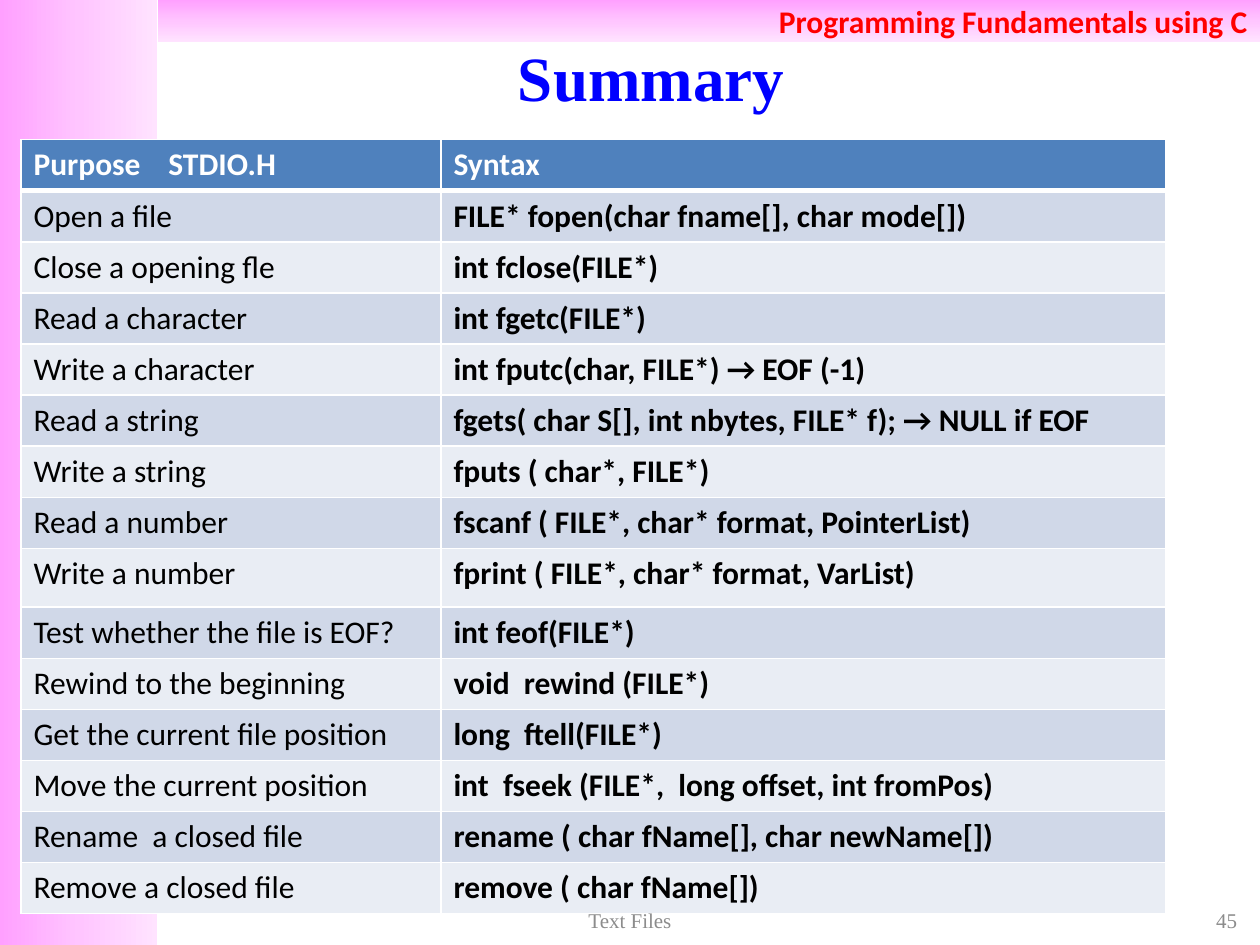
from copy import deepcopy

from lxml import etree
from pptx import Presentation, util as u
from pptx.dml.color import RGBColor
from pptx.enum import shapes, text
from pptx.oxml.ns import qn

WHITE = RGBColor(0xFF, 0xFF, 0xFF)
BLACK = RGBColor(0, 0, 0)
RED = RGBColor(0xFF, 0, 0)
BLUE = RGBColor(0, 0, 0xFF)
GREY = RGBColor(0x8C, 0x8C, 0x8C)
HEAD = RGBColor(0x4F, 0x81, 0xBD)
BANDS = RGBColor(0xD0, 0xD8, 0xE8), RGBColor(0xE9, 0xED, 0xF4)
PINKS = (RGBColor(0xFF, 0xA0, 0xFF), RGBColor(0xFF, 0xC5, 0xFF),
         RGBColor(0xFF, 0xE3, 0xFF))
SANS, SERIF = "Calibri", "Times New Roman"
LEFT, MID, RIGHT = text.PP_ALIGN.LEFT, text.PP_ALIGN.CENTER, text.PP_ALIGN.RIGHT

# The grid: 12 columns by 90 rows
COL, ROW = u.Inches(10) / 12, u.Inches(7.5) / 90

CALLS = [
    ("Purpose\tSTDIO.H", "Syntax"),
    ("Open a file", "FILE* fopen(char fname[], char mode[])"),
    ("Close a opening fle", "int fclose(FILE*)"),
    ("Read a character", "int fgetc(FILE*)"),
    ("Write a character", "int fputc(char, FILE*) → EOF (-1)"),
    ("Read a string", "fgets( char S[], int nbytes, FILE* f); → NULL if EOF"),
    ("Write a string", "fputs ( char*, FILE*)"),
    ("Read a number", "fscanf ( FILE*, char* format, PointerList)"),
    ("Write a number", "fprint ( FILE*, char* format, VarList)"),
    ("Test whether the file is EOF?", "int feof(FILE*)"),
    ("Rewind to the beginning", "void  rewind (FILE*)"),
    ("Get the current file position", "long  ftell(FILE*)"),
    ("Move the current position", "int  fseek (FILE*,  long offset, int fromPos)"),
    ("Rename  a closed file", "rename ( char fName[], char newName[])"),
    ("Remove a closed file", "remove ( char fName[])"),
]
TALL = 8  # the "Write a number" row


def write(frame, words, size=18, font=SANS, color=BLACK, bold=False, align=LEFT):
    para = frame.paragraphs[0]
    para.alignment = align
    run = para.add_run()
    run.text = words
    run.font.size, run.font.name = u.Pt(size), font
    run.font.color.rgb, run.font.bold = color, bold
    return para


def place(left, top, width, height):
    """Turn columns and rows into slide lengths."""
    return [round(n) for n in (left * COL, top * ROW, width * COL, height * ROW)]


def edge(cell, base):
    """Draw white cell borders, with the bottom one of the given width."""
    props = cell._tc.get_or_add_tcPr()
    for spot, (side, width) in enumerate(zip("LRTB", (1, 1, 1, base))):
        line = etree.Element(qn(f"a:ln{side}"), w=str(u.Pt(width)))
        fill = etree.SubElement(line, qn("a:solidFill"))
        etree.SubElement(fill, qn("a:srgbClr"), val=str(WHITE))
        props.insert(spot, line)


class Deck:
    def __init__(self):
        self.file = Presentation()
        self.file.slide_width, self.file.slide_height = u.Inches(10), u.Inches(7.5)
        self.slide = self.file.slides.add_slide(self.file.slide_layouts[5])

    def band(self, *spot, angle):
        """Add a pink gradient bar and return its text frame."""
        bar = self.slide.shapes.add_shape(shapes.MSO_SHAPE.RECTANGLE, *place(*spot))
        bar.shadow.inherit = False
        bar.line.fill.background()
        bar.fill.gradient()
        bar.fill.gradient_angle = angle
        stops = bar._element.spPr.find(".//" + qn("a:gsLst"))
        stops.insert(1, deepcopy(stops[0]))
        for step, (stop, pink) in enumerate(zip(bar.fill.gradient_stops, PINKS)):
            stop.position, stop.color.rgb = step / 2, pink
        bar.text_frame.vertical_anchor = text.MSO_ANCHOR.MIDDLE
        return bar.text_frame

    def title(self, words, *spot):
        head = self.slide.shapes.title
        head.left, head.top, head.width, head.height = place(*spot)
        frame = head.text_frame
        frame.auto_size = text.MSO_AUTO_SIZE.NONE
        frame.vertical_anchor = text.MSO_ANCHOR.MIDDLE
        write(frame, words, size=36, font=SERIF, color=BLUE, bold=True, align=MID)

    def label(self, words, *spot, align):
        frame = self.slide.shapes.add_textbox(*place(*spot)).text_frame
        frame.word_wrap = True
        frame.vertical_anchor = text.MSO_ANCHOR.MIDDLE
        write(frame, words, size=12, font=SERIF, color=GREY, align=align)

    def table(self, rows, left, top, widths, height, tall):
        spot = place(left, top, sum(widths), height * len(rows))
        grid = self.slide.shapes.add_table(len(rows), len(widths), *spot).table
        grid.horz_banding = False
        for col, width in zip(grid.columns, widths):
            col.width = round(width * COL)
        for r, row in enumerate(rows):
            grid.rows[r].height = round((tall if r == TALL else height) * ROW)
            for c, words in enumerate(row):
                cell = grid.cell(r, c)
                cell.fill.solid()
                cell.fill.fore_color.rgb = BANDS[(r - 1) % 2] if r else HEAD
                edge(cell, 1 if r else 3)
                para = write(cell.text_frame, words, bold=r == 0 or c == 1,
                             color=BLACK if r else WHITE)
                if "\t" in words:
                    tabs = etree.SubElement(para._p.get_or_add_pPr(), qn("a:tabLst"))
                    etree.SubElement(tabs, qn("a:tab"), pos=str(u.Inches(1.07)), algn="l")


def main():
    deck = Deck()
    deck.band(0, 0, 1.5, 90, angle=0)
    top = deck.band(1.5, 0, 10.5, 4, angle=270)
    write(top, "Programming Fundamentals using C", color=RED, bold=True, align=RIGHT)
    deck.title("Summary", 1, 3.6, 10.4, 7.4)
    deck.table(CALLS, 0.2, 13.3, (4, 6.9), height=4.87, tall=5.6)
    deck.label("45", 9.1, 86, 2.8, 3.2, align=RIGHT)
    deck.label("Text Files", 4.1, 86, 3.8, 3.2, align=MID)
    deck.file.save("out.pptx")


if __name__ == "__main__":
    main()
